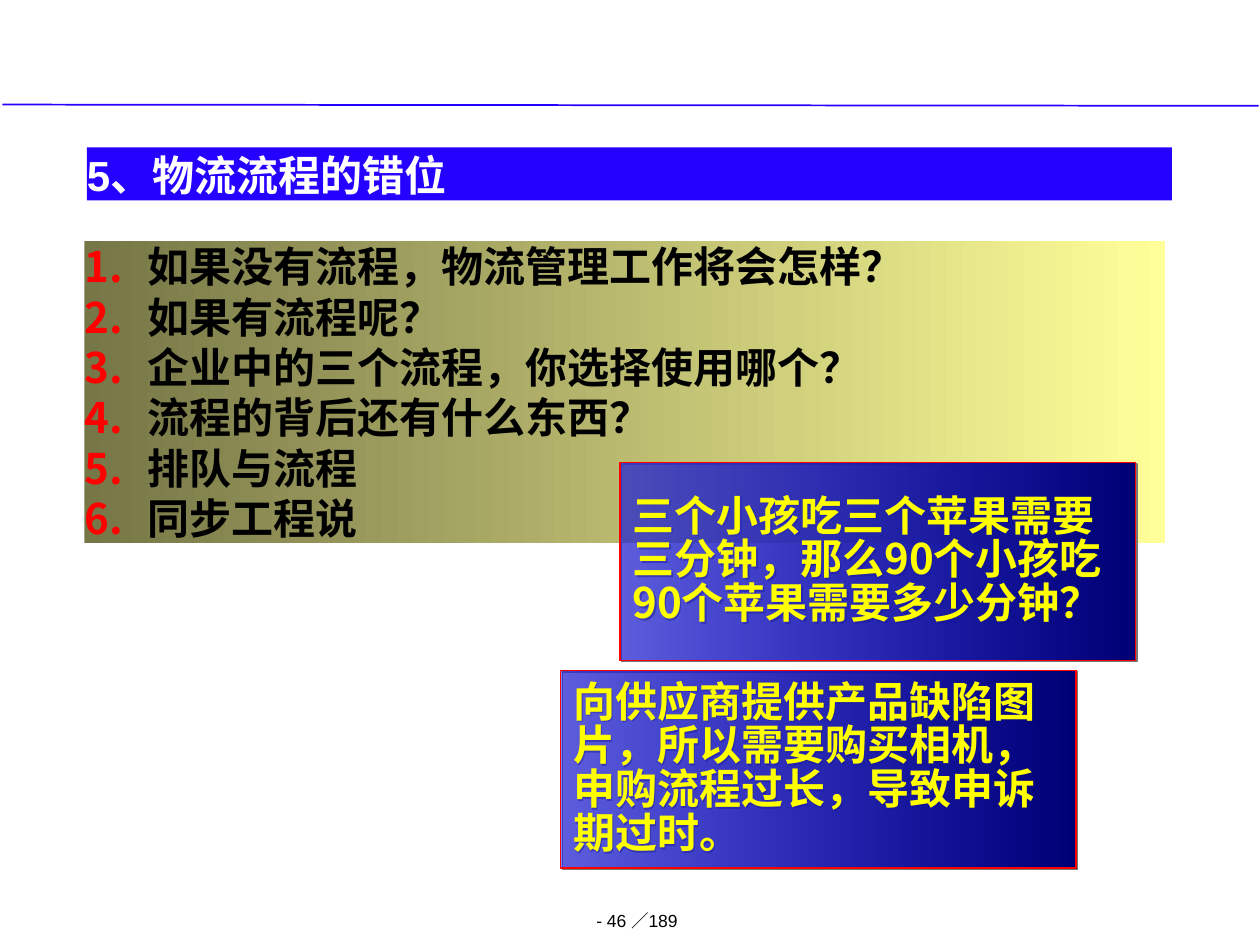
"""Build the slide on misaligned logistics processes."""
import pptx
import pptx.dml.color
import pptx.enum.shapes
import pptx.enum.text
import pptx.oxml
import pptx.oxml.ns
import pptx.util
import lxml.etree

Inches, Pt = pptx.util.Inches, pptx.util.Pt
RGBColor = pptx.dml.color.RGBColor
PP_ALIGN, MSO_ANCHOR = pptx.enum.text.PP_ALIGN, pptx.enum.text.MSO_ANCHOR
qn = pptx.oxml.ns.qn
BLUE = RGBColor(0x25, 0x01, 0xFF)
OLIVE = RGBColor(0x76, 0x76, 0x47)
PALE_YELLOW = RGBColor(0xFF, 0xFF, 0x99)
BRIGHT_BLUE = RGBColor(0x00, 0x00, 0xFF)
NAVY = RGBColor(0x00, 0x00, 0x76)
RED = RGBColor(0xFF, 0x00, 0x00)
YELLOW = RGBColor(0xFF, 0xFF, 0x00)
GRAY = RGBColor(0x77, 0x77, 0x77)
WHITE = RGBColor(0xFF, 0xFF, 0xFF)
BLACK = RGBColor(0x00, 0x00, 0x00)
LATIN, CJK = "Arial", "Noto Sans CJK SC"


def add_element(parent, tag, **values):
    child = lxml.etree.SubElement(parent, qn(tag))
    for name, value in values.items():
        child.set(name, str(value))
    return child


def add_panel(place, colors, lines, text, spacing, inset=(0, 0), numbered=False):
    panel = page.shapes.add_shape(
        pptx.enum.shapes.MSO_SHAPE.RECTANGLE, *[Inches(value) for value in place])
    panel.shadow.inherit = False
    panel.line.fill.background()
    if len(colors) == 1:
        panel.fill.solid()
        panel.fill.fore_color.rgb = colors[0]
    else:
        panel.fill.gradient()
        panel.fill.gradient_angle = 0
        for stop, color, position in zip(panel.fill.gradient_stops, colors, (0, 1)):
            stop.color.rgb = color
            stop.position = position
    frame = panel.text_frame
    side, edge = [Inches(value) for value in inset]
    layout = {"word_wrap": True, "vertical_anchor": MSO_ANCHOR.TOP,
              "margin_left": side, "margin_right": side,
              "margin_top": edge, "margin_bottom": edge}
    for name, value in layout.items():
        setattr(frame, name, value)
    for index, line in enumerate(lines):
        para = frame.add_paragraph() if index else frame.paragraphs[0]
        para.alignment = PP_ALIGN.LEFT
        para.line_spacing = Pt(spacing)
        if numbered:
            props = para._p.get_or_add_pPr()
            props.set("marL", str(Inches(0.5)))
            props.set("indent", str(-Inches(0.5)))
            add_element(add_element(props, "a:buClr"), "a:srgbClr", val=RED)
            add_element(props, "a:buFont", typeface=CJK)
            add_element(props, "a:buAutoNum", type="arabicPeriod")
        span = para.add_run()
        span.text = line
        for name, value in text.items():
            setattr(span.font, name, value)
        span.font.color.rgb = WHITE if len(colors) == 1 else BLACK
        add_element(span._r.get_or_add_rPr(), "a:ea", typeface=CJK)
    return panel


deck = pptx.Presentation()
deck.slide_width, deck.slide_height = Inches(10), Inches(7.5)
page = deck.slides.add_slide(deck.slide_layouts[6])

number_box = page.shapes.add_textbox(Inches(4.48), Inches(7.22), Inches(1.15), Inches(0.33))
number_frame = number_box.text_frame
for side in ("left", "right", "top", "bottom"):
    setattr(number_frame, f"margin_{side}", 0)
number_frame.word_wrap = True
number_para = number_frame.paragraphs[0]
number_para.alignment = PP_ALIGN.CENTER
number_span = number_para.add_run()
number_span.text = "- 46 ／189"
for name, value in {"name": LATIN, "size": Pt(10)}.items():
    setattr(number_span.font, name, value)
number_span.font.color.rgb = BLACK

rule = page.shapes.add_connector(
    pptx.enum.shapes.MSO_CONNECTOR.STRAIGHT,
    Inches(0.02), Inches(0.83), Inches(9.99), Inches(0.84))
rule.line.color.rgb = BLUE
rule.line.width = Pt(1)
add_element(rule._element.spPr, "a:effectLst")

HEADING = {"name": LATIN, "size": Pt(24), "bold": True}
CALLOUT = {**HEADING, "name": CJK}

add_panel((0.69, 1.17, 8.61, 0.42), [BLUE], ["5、物流流程的错位"], HEADING, 30)

questions = [
    "如果没有流程，物流管理工作将会怎样？",
    "如果有流程呢？",
    "企业中的三个流程，你选择使用哪个？",
    "流程的背后还有什么东西？",
    "排队与流程",
    "同步工程说",
]
add_panel((0.67, 1.91, 8.58, 2.4), [OLIVE, PALE_YELLOW], questions, HEADING, 28.8,
          numbered=True)

callouts = [
    (4.45, 5.32, "向供应商提供产品缺陷图片，所以需要购买相机，申购流程过长，导致申诉期过时。"),
    (4.92, 3.67, "三个小孩吃三个苹果需要三分钟，那么90个小孩吃90个苹果需要多少分钟？"),
]
for left, top, words in callouts:
    callout = add_panel((left, top, 4.09, 1.57), [BRIGHT_BLUE, NAVY], [words], CALLOUT, 25,
                        inset=(0.1, 0.05))
    callout.line.color.rgb = RED
    callout.line.width = Pt(0.75)
    callout.text_frame.vertical_anchor = MSO_ANCHOR.MIDDLE
    callout.text_frame.paragraphs[0].runs[0].font.color.rgb = YELLOW
    shape_props = callout._element.spPr
    first_color = shape_props.find(qn("a:gradFill")).find(".//" + qn("a:srgbClr"))
    add_element(first_color, "a:alpha", val=50000)
    shadow = add_element(shape_props.find(qn("a:effectLst")), "a:outerShdw",
                         blurRad=0, dist=Pt(1.4), dir=45 * 60000, algn="ctr",
                         rotWithShape=0)
    add_element(shadow, "a:srgbClr", val=GRAY)

deck.save("out.pptx")
